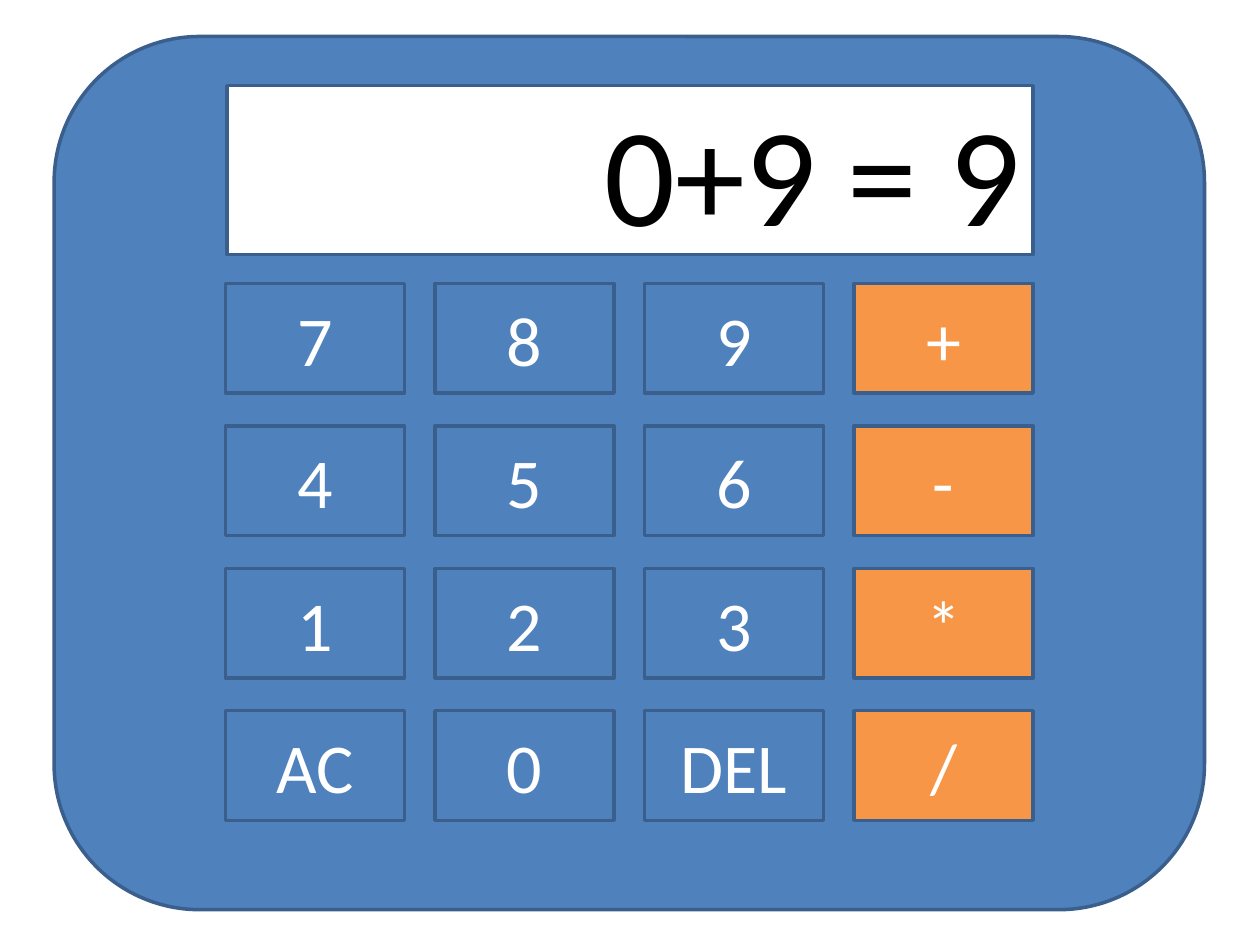
"""Build a slide showing a calculator with a display and a four-by-four keypad."""
from dataclasses import dataclass

import pptx
import pptx.dml.color
import pptx.enum.shapes
import pptx.enum.text
import pptx.slide
import pptx.util

SHAPE = pptx.enum.shapes.MSO_SHAPE
ALIGN = pptx.enum.text.PP_ALIGN
SLIDE_WIDTH = pptx.util.Inches(10)
SLIDE_HEIGHT = pptx.util.Inches(7.5)


@dataclass(frozen=True)
class Theme:
    font: str = "Calibri"
    casing: str = "4F81BD"
    operator: str = "F79646"
    screen: str = "FFFFFF"
    outline: str = "3A5F8C"
    key_text: str = "FFFFFF"
    screen_text: str = "000000"
    key_size: int = 40
    screen_size: int = 80
    outline_width: int = 2


@dataclass(frozen=True)
class Box:
    """Position and size in percent of the slide's width and height."""
    left: float
    top: float
    width: float
    height: float


@dataclass(frozen=True)
class Keypad:
    first: Box
    column_pitch: float
    row_pitch: float

    def cell(self, column: int, row: int) -> Box:
        return Box(
            self.first.left + column * self.column_pitch,
            self.first.top + row * self.row_pitch,
            self.first.width,
            self.first.height,
        )


@dataclass(frozen=True)
class Part:
    box: Box
    fill: str
    label: str = ""
    size: int = 0
    color: str = ""
    align: ALIGN = ALIGN.CENTER
    outline_shape: SHAPE = SHAPE.RECTANGLE


THEME = Theme()
KEYPAD = Keypad(Box(17.9, 30, 14.2, 11.6), column_pitch=16.63, row_pitch=15.07)
KEY_ROWS = (
    ("7", "8", "9", "+"),
    ("4", "5", "6", "-"),
    ("1", "2", "3", "*"),
    ("AC", "0", "DEL", "/"),
)
OPERATORS = "+-*/"
CASING = Part(Box(4.3, 3.87, 91.3, 92.4), THEME.casing,
              outline_shape=SHAPE.ROUNDED_RECTANGLE)
DISPLAY = Part(Box(18, 9.07, 64, 17.87), THEME.screen, "0+9 = 9",
               THEME.screen_size, THEME.screen_text, ALIGN.RIGHT)


def rgb(value: str) -> pptx.dml.color.RGBColor:
    return pptx.dml.color.RGBColor.from_string(value)


def draw_part(slide: pptx.slide.Slide, part: Part) -> None:
    box = part.box
    shape = slide.shapes.add_shape(
        part.outline_shape,
        round(SLIDE_WIDTH * box.left / 100),
        round(SLIDE_HEIGHT * box.top / 100),
        round(SLIDE_WIDTH * box.width / 100),
        round(SLIDE_HEIGHT * box.height / 100),
    )
    shape.shadow.inherit = False
    shape.fill.solid()
    shape.fill.fore_color.rgb = rgb(part.fill)
    shape.line.color.rgb = rgb(THEME.outline)
    shape.line.width = pptx.util.Pt(THEME.outline_width)
    if part.label:
        frame = shape.text_frame
        frame.vertical_anchor = pptx.enum.text.MSO_ANCHOR.MIDDLE
        frame.text = part.label
        paragraph = frame.paragraphs[0]
        paragraph.alignment = part.align
        paragraph.font.name = THEME.font
        paragraph.font.size = pptx.util.Pt(part.size)
        paragraph.font.color.rgb = rgb(part.color)


def key(label: str, column: int, row: int) -> Part:
    fill = THEME.operator if label in OPERATORS else THEME.casing
    return Part(KEYPAD.cell(column, row), fill, label, THEME.key_size, THEME.key_text)


def main() -> None:
    presentation = pptx.Presentation()
    presentation.slide_width = SLIDE_WIDTH
    presentation.slide_height = SLIDE_HEIGHT
    slide = presentation.slides.add_slide(presentation.slide_layouts.get_by_name("Blank"))
    draw_part(slide, CASING)
    draw_part(slide, DISPLAY)
    for row, labels in enumerate(KEY_ROWS):
        for column, label in enumerate(labels):
            draw_part(slide, key(label, column, row))
    presentation.save("out.pptx")


if __name__ == "__main__":
    main()
